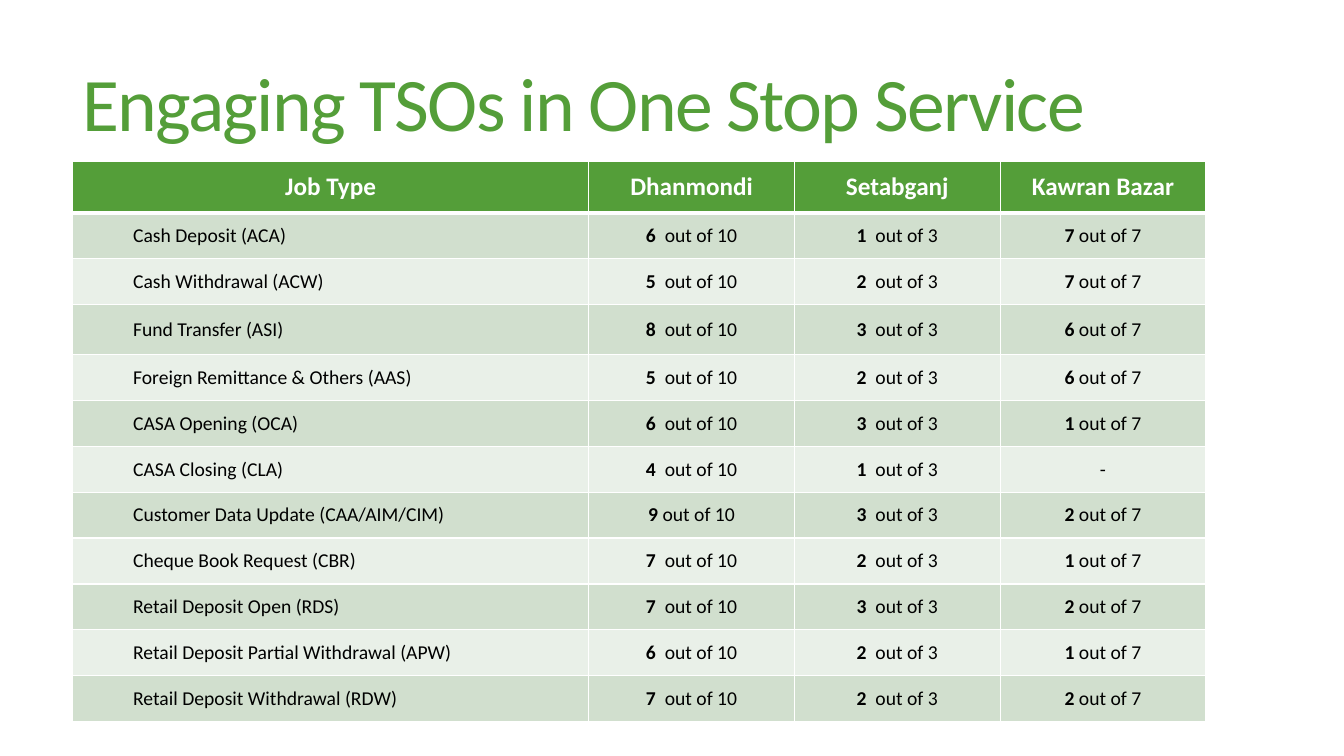
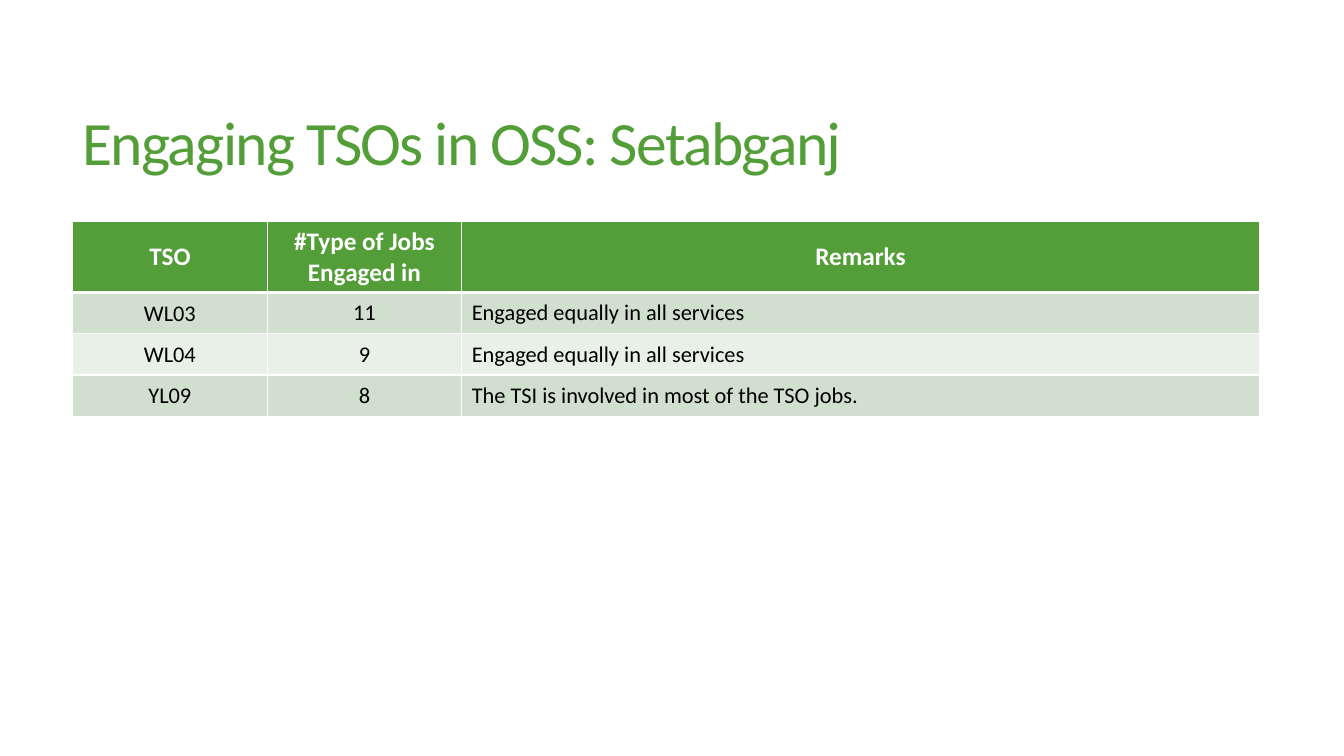
import pptx
import pptx.dml.color
import pptx.enum.text
import pptx.oxml.ns
import pptx.util
from lxml import etree

Inches = pptx.util.Inches
CENTER = pptx.enum.text.PP_ALIGN.CENTER
LEFT = pptx.enum.text.PP_ALIGN.LEFT
MIDDLE = pptx.enum.text.MSO_ANCHOR.MIDDLE

# Shared style
COLORS = {
    "green": "549E39",
    "white": "FFFFFF",
    "black": "000000",
    "odd_row": "D1DFCE",
    "even_row": "E9F0E8",
}
FONT = "Calibri"
MARGIN_LEFT = 0.72
CONTENT_WIDTH = 11.78
TITLE_TOP = 0.55

# Content
BRANCH_TSOS = {"Dhanmondi": 10, "Setabganj": 3, "Kawran Bazar": 7}
JOB_COUNTS = [
    ("Cash Deposit (ACA)", 6, 1, 7),
    ("Cash Withdrawal (ACW)", 5, 2, 7),
    ("Fund Transfer (ASI)", 8, 3, 6),
    ("Foreign Remittance & Others (AAS)", 5, 2, 6),
    ("CASA Opening (OCA)", 6, 3, 1),
    ("CASA Closing (CLA)", 4, 1, None),
    ("Customer Data Update (CAA/AIM/CIM)", 9, 3, 2),
    ("Cheque Book Request (CBR)", 7, 2, 1),
    ("Retail Deposit Open (RDS)", 7, 3, 2),
    ("Retail Deposit Partial Withdrawal (APW)", 6, 2, 1),
    ("Retail Deposit Withdrawal (RDW)", 7, 2, 2),
]
TSO_REMARKS = [
    ("WL03", "11", "Engaged equally in all services"),
    ("WL04", "9", "Engaged equally in all services"),
    ("YL09", "8", "The TSI is involved in most of the TSO jobs."),
]


def rgb(name):
    return pptx.dml.color.RGBColor.from_string(COLORS[name])


def add_text(paragraph, text, size=14, color="black", bold=False, spacing=None):
    run = paragraph.add_run()
    run.text = text
    run.font.name = FONT
    run.font.size = pptx.util.Pt(size)
    run.font.bold = bold
    run.font.color.rgb = rgb(color)
    if spacing is not None:
        run.font._element.set("spc", str(round(spacing * 100)))


def add_title(slide, text, height, size):
    box = slide.shapes.add_textbox(
        Inches(MARGIN_LEFT), Inches(TITLE_TOP), Inches(CONTENT_WIDTH), Inches(height))
    frame = box.text_frame
    frame.word_wrap = True
    frame.vertical_anchor = MIDDLE
    title = frame.paragraphs[0]
    title.line_spacing = 0.85
    add_text(title, text, size=size, color="green", spacing=-1.2)


def style_cell(cell, row):
    """White borders, heavier under the header, and a banded fill."""
    properties = cell._tc.get_or_add_tcPr()
    for side in "LRTB":
        under_header = (row, side) in ((0, "B"), (1, "T"))
        line = etree.SubElement(properties, pptx.oxml.ns.qn("a:ln" + side),
                                w=str(pptx.util.Pt(3 if under_header else 1)))
        fill = etree.SubElement(line, pptx.oxml.ns.qn("a:solidFill"))
        etree.SubElement(fill, pptx.oxml.ns.qn("a:srgbClr"), val=COLORS["white"])
    cell.fill.solid()
    band = "odd_row" if row % 2 else "even_row"
    cell.fill.fore_color.rgb = rgb("green" if row == 0 else band)
    cell.vertical_anchor = MIDDLE


def add_banded_table(slide, top, widths, heights, headers, rows, aligns, size):
    """Each body cell is a list of (text, bold) runs."""
    table = slide.shapes.add_table(
        len(heights), len(widths), Inches(MARGIN_LEFT), Inches(top),
        Inches(sum(widths)), Inches(sum(heights))).table
    for column, width in zip(table.columns, widths):
        column.width = Inches(width)
    for table_row, height in zip(table.rows, heights):
        table_row.height = Inches(height)

    header_row = [[(header, True)] for header in headers]
    for r, row in enumerate([header_row] + rows):
        for c, runs in enumerate(row):
            cell = table.cell(r, c)
            style_cell(cell, r)
            paragraph = cell.text_frame.paragraphs[0]
            paragraph.alignment = aligns[c] if r else CENTER
            for text, bold in runs:
                add_text(paragraph, text, size=size if r else 18,
                         color="black" if r else "white", bold=bold)
    return table


def share_runs(job, branch, count):
    if count is None:
        return [("-", False)]
    # Kawran Bazar and one Dhanmondi entry have a single space after the count
    single = branch == "Kawran Bazar" or (branch == "Dhanmondi" and count == 9)
    gap = " " if single else "  "
    return [(str(count), True), (f"{gap}out of {BRANCH_TSOS[branch]}", False)]


def build_job_slide(slide):
    add_title(slide, "Engaging TSOs in One Stop Service", height=1.05, size=54)
    rows = [
        [[(job, False)]] + [share_runs(job, branch, count)
                            for branch, count in zip(BRANCH_TSOS, counts)]
        for job, *counts in JOB_COUNTS
    ]
    heights = [0.5 if job.startswith("Fund") else 0.455 for job, *_ in JOB_COUNTS]
    table = add_banded_table(
        slide, top=1.6, widths=[5.12] + [2.04] * 3, heights=[0.51] + heights,
        headers=["Job Type", *BRANCH_TSOS], rows=rows,
        aligns=[LEFT] + [CENTER] * 3, size=14)
    # Indent the job names
    for r in range(1, len(table.rows)):
        job_name = table.cell(r, 0).text_frame.paragraphs[0]
        job_name._p.get_or_add_pPr().set("marL", str(Inches(0.5)))


def build_branch_slide(slide):
    add_title(slide, "Engaging TSOs in OSS: Setabganj", height=1.81, size=44)
    rows = [[[(text, False)] for text in row] for row in TSO_REMARKS]
    table = add_banded_table(
        slide, top=2.2, widths=[1.93, 1.93, 7.91],
        heights=[0.7] + [0.41] * len(rows),
        headers=["TSO", "#Type of Jobs Engaged in", "Remarks"], rows=rows,
        aligns=[CENTER, CENTER, LEFT], size=16)
    # Tight insets around the TSO codes
    for r in range(1, len(table.rows)):
        code = table.cell(r, 0)
        code.margin_left = code.margin_right = code.margin_top = Inches(0.01)
        code.margin_bottom = 0


deck = pptx.Presentation()
deck.slide_width = Inches(13.33)
deck.slide_height = Inches(7.5)
for build_slide in (build_job_slide, build_branch_slide):
    build_slide(deck.slides.add_slide(deck.slide_layouts[6]))
deck.save("out.pptx")
